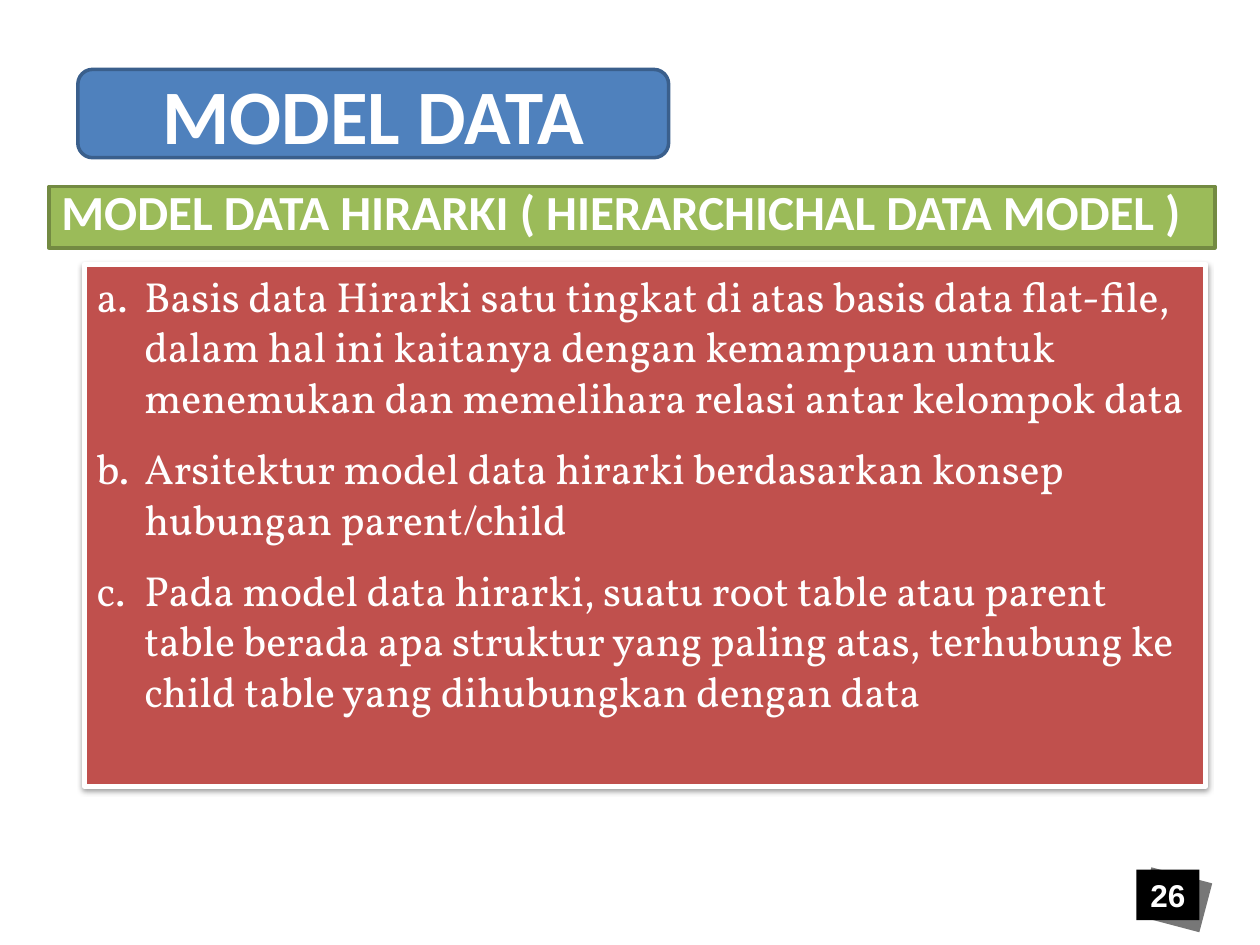
from lxml import etree
from pptx import Presentation
from pptx import util as u
from pptx.dml.color import RGBColor
from pptx.enum import shapes, text
from pptx.oxml.ns import qn

WHITE = RGBColor(0xFF, 0xFF, 0xFF)
BLACK = RGBColor(0x00, 0x00, 0x00)
GRAY = RGBColor(0x77, 0x77, 0x77)
BLUE = RGBColor(0x4F, 0x81, 0xBD)
DARK_BLUE = RGBColor(0x3A, 0x5F, 0x8C)
GREEN = RGBColor(0x9B, 0xBB, 0x59)
DARK_GREEN = RGBColor(0x73, 0x8A, 0x42)
RED = RGBColor(0xC0, 0x50, 0x4D)

POINTS = [
    "Basis data Hirarki satu tingkat di atas basis data flat-file, dalam hal ini "
    "kaitanya dengan kemampuan untuk menemukan dan memelihara relasi antar kelompok data",
    "Arsitektur model data hirarki berdasarkan konsep hubungan parent/child",
    "Pada model data hirarki, suatu root table atau parent table berada apa struktur "
    "yang paling atas, terhubung ke child table yang dihubungkan dengan data",
]


def add_box(parent, box, fill, line=None, width=2, kind=shapes.MSO_SHAPE.RECTANGLE):
    """Add a filled shape at box, given as left, top, width, height in cm."""
    sp = parent.add_shape(kind, *(u.Cm(v) for v in box))
    sp.shadow.inherit = False
    sp.fill.solid()
    sp.fill.fore_color.rgb = fill
    if line is None:
        sp.line.fill.background()
    else:
        sp.line.color.rgb = line
        sp.line.width = u.Pt(width)
    return sp


def write(sp, lines, font, size, bold=False, align=text.PP_ALIGN.LEFT,
          anchor=text.MSO_ANCHOR.TOP):
    """Write white paragraphs into a shape and return them."""
    tf = sp.text_frame
    tf.word_wrap = True
    tf.vertical_anchor = anchor
    tf.text = "\n".join(lines)
    for p in tf.paragraphs:
        p.alignment = align
        p.font.name = font
        p.font.size = u.Pt(size)
        p.font.bold = bold
        p.font.color.rgb = WHITE
    return tf.paragraphs


def add_soft_shadow(sp):
    """Give a shape a soft shadow straight below it."""
    effects = sp._element.spPr.find(qn("a:effectLst"))
    shadow = etree.SubElement(effects, qn("a:outerShdw"), blurRad=str(u.Pt(3.1)),
                              dist=str(u.Pt(1.6)), dir="5400000", rotWithShape="0")
    color = etree.SubElement(shadow, qn("a:srgbClr"), val=str(BLACK))
    etree.SubElement(color, qn("a:alpha"), val="38000")


def number_paragraph(p, indent):
    """Letter a paragraph a., b., c. with a hanging indent in cm."""
    pPr = p._p.get_or_add_pPr()
    pPr.set("marL", str(u.Cm(indent)))
    pPr.set("indent", str(-u.Cm(indent)))
    bullet = etree.Element(qn("a:buAutoNum"), type="alphaLcPeriod")
    pPr.find(qn("a:defRPr")).addprevious(bullet)


def add_title(s, box):
    """Add the rounded title banner."""
    sp = add_box(s.shapes, box, BLUE, DARK_BLUE, kind=shapes.MSO_SHAPE.ROUNDED_RECTANGLE)
    write(sp, ["MODEL DATA"], "Calibri", 44, True, text.PP_ALIGN.CENTER,
          text.MSO_ANCHOR.MIDDLE)


def add_subtitle(s, box):
    """Add the subtitle bar."""
    sp = add_box(s.shapes, box, GREEN, DARK_GREEN)
    p, = write(sp, ["MODEL DATA HIRARKI ( HIERARCHICHAL DATA MODEL )"], "Calibri", 28, True)
    p.line_spacing = 0.8


def add_points(s, box):
    """Add the panel of lettered points."""
    sp = add_box(s.shapes, box, RED, WHITE, 3)
    add_soft_shadow(sp)
    for p in write(sp, POINTS, "Vollkorn", 24):
        p.space_before = u.Pt(12)
        number_paragraph(p, 0.96)


def add_page_number(s, box):
    """Add the page number on a black tile over a tilted gray one."""
    left, top, width, height = box
    group = s.shapes.add_group_shape()
    tilted = add_box(group.shapes, (left + 0.15, top + 0.1, width, height), GRAY)
    tilted.rotation = 14.8
    tile = add_box(group.shapes, box, BLACK)
    write(tile, ["26"], "Arial", 18, True, text.PP_ALIGN.CENTER, text.MSO_ANCHOR.MIDDLE)


def main():
    """Build the slide and save it."""
    prs = Presentation()
    prs.slide_width, prs.slide_height = u.Cm(25.4), u.Cm(19.05)
    s = prs.slides.add_slide(prs.slide_layouts[6])
    add_page_number(s, (22.91, 17.53, 1.27, 1.02))
    add_subtitle(s, (0.99, 3.76, 23.5, 1.24))
    add_points(s, (1.7, 5.33, 22.61, 10.52))
    add_title(s, (1.57, 1.4, 11.91, 1.78))
    prs.save("out.pptx")


if __name__ == "__main__":
    main()
